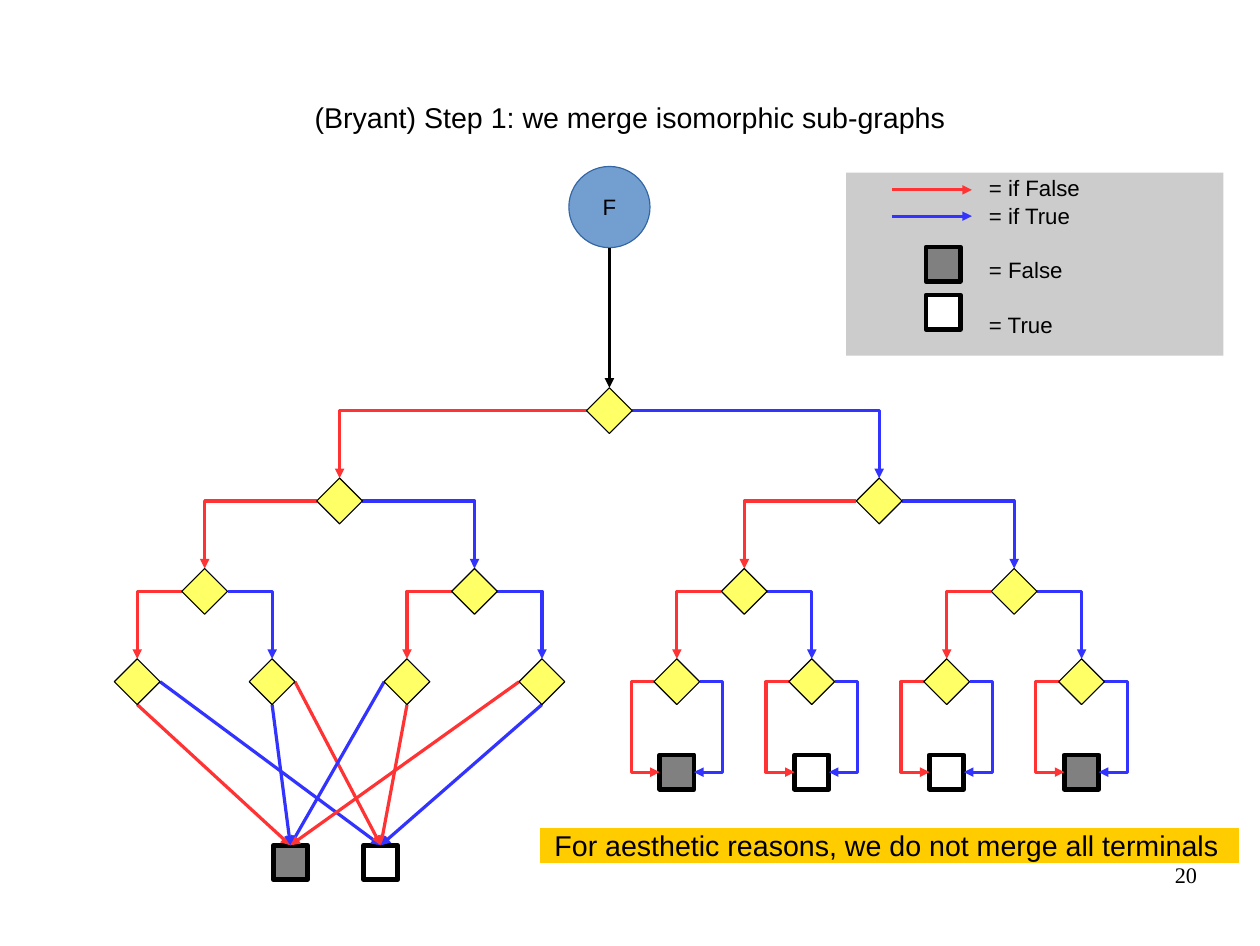
from pptx import Presentation
from pptx.dml.color import RGBColor
from pptx.enum.shapes import MSO_CONNECTOR, MSO_SHAPE
from pptx.enum.text import MSO_ANCHOR, PP_ALIGN
from pptx.oxml.ns import qn
from pptx.util import Inches, Pt
from lxml.etree import SubElement

BLACK = RGBColor(0x00, 0x00, 0x00)
WHITE = RGBColor(0xFF, 0xFF, 0xFF)
GRAY = RGBColor(0x80, 0x80, 0x80)
PALE = RGBColor(0xCC, 0xCC, 0xCC)
RED = RGBColor(0xFF, 0x33, 0x33)
BLUE = RGBColor(0x33, 0x33, 0xFF)
YELLOW = RGBColor(0xFF, 0xFF, 0x66)
GOLD = RGBColor(0xFF, 0xCC, 0x00)
SKY = RGBColor(0x72, 0x9F, 0xCF)
NAVY = RGBColor(0x34, 0x65, 0xA4)

DEPTH = 3
STEP, ROW = 1.18, 0.79
NODE, END = 0.2, 0.15


def add_box(slide, kind, box, fill, edge=None, width=0):
    """Draw a preset shape in the box (left, top, width, height)."""
    shape = slide.shapes.add_shape(kind, *[Inches(n) for n in box])
    shape.shadow.inherit = False
    shape.fill.solid()
    shape.fill.fore_color.rgb = fill
    if edge is None:
        shape.line.fill.background()
    else:
        shape.line.color.rgb = edge
        shape.line.width = Pt(width)
    return shape


def add_mid(slide, kind, x, y, half, fill, edge, width=0):
    """Draw a square preset shape around its centre."""
    box = (x - half, y - half, 2 * half, 2 * half)
    return add_box(slide, kind, box, fill, edge, width)


def add_leaf(slide, x, y, fill):
    """Draw a terminal around its centre."""
    add_mid(slide, MSO_SHAPE.RECTANGLE, x, y, END, fill, BLACK, 3)


def add_arrow(slide, start, end, color, kind=MSO_CONNECTOR.STRAIGHT):
    """Draw a hairline arrow from start to end."""
    ends = [Inches(n) for n in (*start, *end)]
    arrow = slide.shapes.add_connector(kind, *ends)
    arrow.line.color.rgb = color
    arrow.line.width = Pt(0)
    props = arrow.element.spPr
    SubElement(props.find(qn("a:ln")), qn("a:tailEnd"), type="triangle")
    SubElement(props, qn("a:effectLst"))
    return props


def add_bend(slide, start, end, color):
    """Draw an arrow that runs sideways and then down."""
    props = add_arrow(slide, start, end, color, MSO_CONNECTOR.ELBOW)
    props.find(qn("a:prstGeom")).set("prst", "bentConnector2")
    if end[0] < start[0]:
        frame = props.find(qn("a:xfrm"))
        del frame.attrib["flipH"]
        frame.set("rot", "10800000")
        frame.set("flipV", "1")


def add_loop(slide, start, end, color):
    """Draw an arrow that bulges outwards before it returns to its end."""
    props = add_arrow(slide, start, end, color, MSO_CONNECTOR.ELBOW)
    guides = props.find(qn("a:prstGeom")).find(qn("a:avLst"))
    SubElement(guides, qn("a:gd"), name="adj1", fmla="val -400000")


def style(frame, size, align=PP_ALIGN.LEFT, font="Arial"):
    """Format all text in a frame."""
    frame.word_wrap = True
    for para in frame.paragraphs:
        para.alignment = align
        for run in para.runs:
            run.font.size = Pt(size)
            run.font.name = font
            run.font.color.rgb = BLACK


def trim(frame, left=0, top=0):
    """Set the left and top margins and clear the others."""
    frame.margin_left, frame.margin_top = Inches(left), Inches(top)
    frame.margin_right = frame.margin_bottom = 0


def add_title(slide, box):
    """Fill and place the title."""
    title = slide.shapes.title
    title.left, title.top, title.width, title.height = [Inches(n) for n in box]
    frame = title.text_frame
    frame.text = "(Bryant) Step 1: we merge isomorphic sub-graphs"
    trim(frame)
    frame.vertical_anchor = MSO_ANCHOR.MIDDLE
    style(frame, 18, PP_ALIGN.CENTER)


def add_key(slide, box):
    """Draw the legend."""
    left, top = box[:2]
    panel = add_box(slide, MSO_SHAPE.RECTANGLE, box, PALE)
    frame = panel.text_frame
    frame.text = "= if False\n= if True\n= False\n= True"
    trim(frame, 1.25, 0.01)
    frame.vertical_anchor = MSO_ANCHOR.TOP
    style(frame, 14)
    for para, gap in zip(frame.paragraphs[1:], (1, 17.5, 17.5)):
        para.space_before = Pt(gap)
    for y, color in ((0.15, RED), (0.38, BLUE)):
        add_arrow(slide, (left + 0.4, top + y), (left + 1.1, top + y), color)
    for y, fill in ((0.8, GRAY), (1.22, WHITE)):
        add_leaf(slide, left + 0.85, top + y, fill)


def add_merged(slide, spots, y):
    """Link the left half of the nodes to two shared terminals."""
    false, true = spots[0][0] + 1.34, spots[0][0] + 2.13
    add_leaf(slide, false, y, GRAY)
    add_leaf(slide, true, y, WHITE)
    links = ((false, RED, 1, true, BLUE), (false, BLUE, 1, true, RED),
             (true, RED, -1, false, BLUE), (true, BLUE, -1, false, RED))
    for (x, mid), (low, hue, side, far, tint) in zip(spots, links):
        add_arrow(slide, (x, mid + NODE), (low, y - END), hue)
        add_arrow(slide, (x + side * NODE, mid), (far, y - END), tint)


def add_split(slide, spots, y):
    """Give each node of the right half its own terminal."""
    for (x, mid), fill in zip(spots, (GRAY, WHITE, WHITE, GRAY)):
        add_leaf(slide, x, y, fill)
        for side, color in ((-1, RED), (1, BLUE)):
            add_loop(slide, (x + side * NODE, mid), (x + side * END, y), color)


def add_tree(slide, left, top):
    """Draw the graph from its first column centre and its root height."""
    rows = []
    for level in range(DEPTH + 1):
        span = 2 ** (DEPTH - level)
        rows.append([(left + STEP * (span * (k + 0.5) - 0.5), top + ROW * level)
                     for k in range(2 ** level)])
    last, base = rows[-1], top + ROW * DEPTH
    add_merged(slide, last[:4], base + 2 * ROW)
    add_split(slide, last[4:], base + ROW)
    for row, below in zip(rows, rows[1:]):
        for k, (x, y) in enumerate(row):
            for side, color in ((-1, RED), (1, BLUE)):
                child, drop = below[2 * k + (side > 0)]
                add_bend(slide, (x + side * NODE, y), (child, drop - NODE), color)
    for row in rows:
        for x, y in row:
            add_mid(slide, MSO_SHAPE.DIAMOND, x, y, NODE, YELLOW, BLACK)
    root = rows[0][0][0]
    disc = add_mid(slide, MSO_SHAPE.OVAL, root, top - 1.78, 0.355, SKY, NAVY)
    disc.text_frame.text = "F"
    style(disc.text_frame, 14, PP_ALIGN.CENTER)
    add_arrow(slide, (root, top - 1.42), (root, top - NODE), BLACK)


def add_note(slide, box):
    """Draw the highlighted remark."""
    bar = add_box(slide, MSO_SHAPE.RECTANGLE, box, GOLD, GOLD)
    frame = bar.text_frame
    frame.text = "For aesthetic reasons, we do not merge all terminals"
    trim(frame, 0.12)
    frame.vertical_anchor = MSO_ANCHOR.MIDDLE
    style(frame, 18)


def add_page(slide, box):
    """Write the page number."""
    frame = slide.shapes.add_textbox(*[Inches(n) for n in box]).text_frame
    frame.text = "20"
    trim(frame)
    style(frame, 14, PP_ALIGN.RIGHT, "Times New Roman")


def main():
    """Build the slide and save it."""
    deck = Presentation()
    deck.slide_width, deck.slide_height = Inches(11.02), Inches(8.27)
    slide = deck.slides.add_slide(deck.slide_layouts[5])
    add_title(slide, (0.55, 0.33, 9.92, 1.38))
    add_tree(slide, 1.2, 3.59)
    add_key(slide, (7.4, 1.51, 3.3, 1.6))
    add_note(slide, (4.73, 7.24, 6.1, 0.3))
    add_page(slide, (7.9, 7.53, 2.57, 0.57))
    deck.save("out.pptx")


if __name__ == "__main__":
    main()
